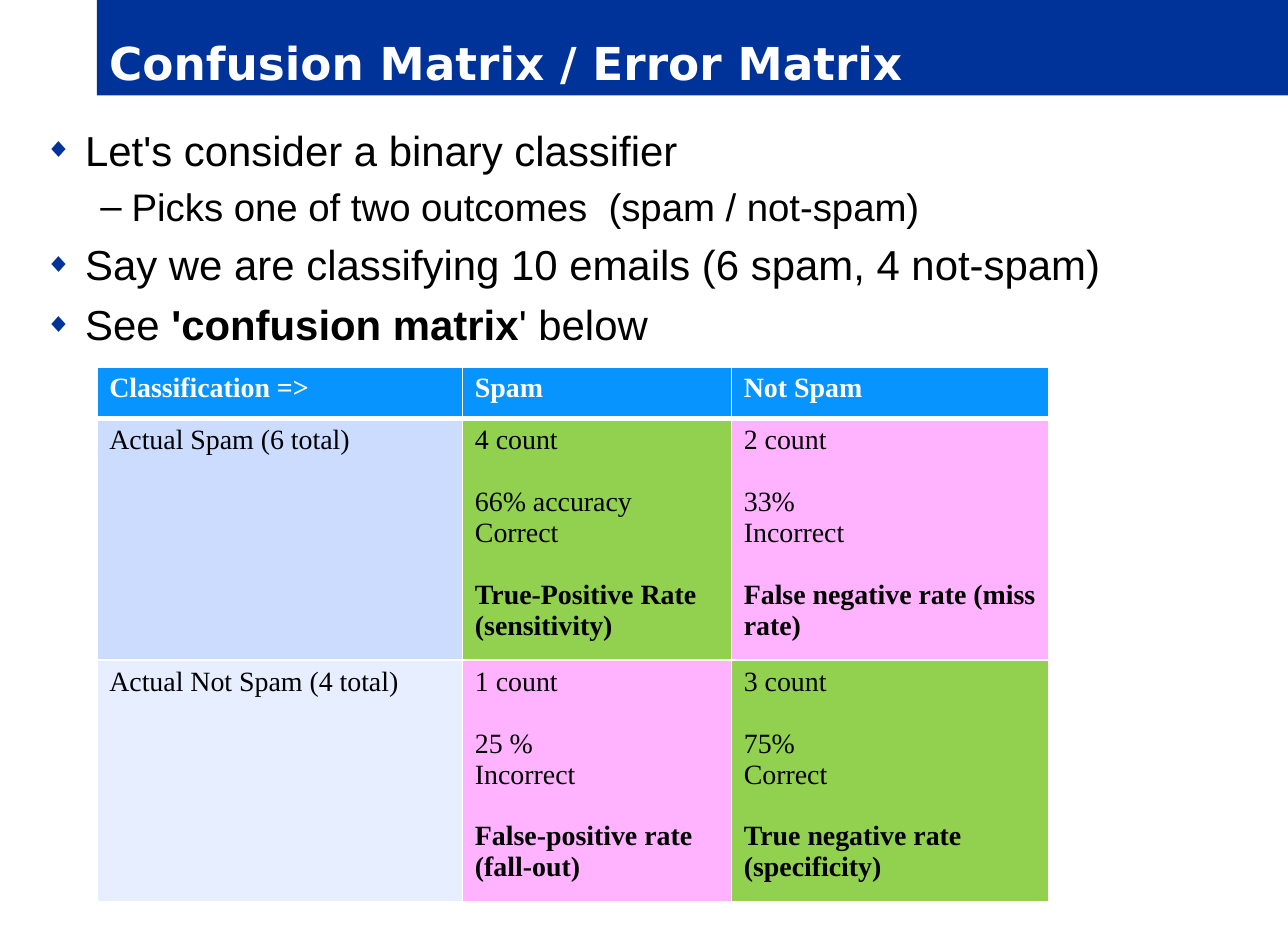
from dataclasses import dataclass

from lxml.etree import SubElement
from pptx import Presentation
from pptx.dml.color import RGBColor
from pptx.enum.shapes import MSO_SHAPE
from pptx.enum.text import MSO_ANCHOR, PP_ALIGN
from pptx.oxml.ns import qn
from pptx.slide import Slide
from pptx.table import _Cell
from pptx.text.text import _Paragraph, _Run
from pptx.util import Pt

PX = 9144


@dataclass(frozen=True)
class Theme:
    """Colours, fonts and type sizes of the slide."""
    navy: str = "003399"
    white: str = "FFFFFF"
    black: str = "000000"
    head: str = "0794FF"
    pale: str = "CCDCFF"
    faint: str = "E7EEFF"
    right: str = "92D050"
    wrong: str = "FFB3FF"
    title_font: str = "DejaVu Sans"
    body_font: str = "Arial"
    cell_font: str = "Times New Roman"
    title_size: int = 26
    cell_size: int = 16
    cell_gap: float = 17.7
    thin: int = 1
    thick: int = 3


@dataclass(frozen=True)
class Level:
    """Look of one bullet level, with indents in px."""
    mark: str
    hue: str
    scale: int
    left: int
    hang: int
    size: int
    gap: float


@dataclass(frozen=True)
class Bullet:
    """One bullet; every second phrase is bold."""
    level: int
    words: tuple[str, ...]


@dataclass(frozen=True)
class Entry:
    """One table cell with groups of lines set apart by a gap."""
    fill: str
    groups: tuple[str, ...]


THEME = Theme()
LEVELS = (
    Level("◆", THEME.navy, 65, 32, 32, 24, 5.5),
    Level("–", THEME.black, 100, 69, 25, 22, 5),
)
BULLETS = (
    Bullet(0, ("Let's consider a binary classifier",)),
    Bullet(1, ("Picks one of two outcomes  (spam / not-spam)",)),
    Bullet(0, ("Say we are classifying 10 emails (6 spam, 4 not-spam)",)),
    Bullet(0, ("See ", "'confusion matrix", "' below")),
)
COLS = (291, 214, 253)
ROWS = (41, 183, 183)
GRID = (
    tuple(Entry(THEME.head, (name,))
          for name in ("Classification =>", "Spam", "Not Spam")),
    (
        Entry(THEME.pale, ("Actual Spam (6 total)",)),
        Entry(THEME.right, ("4 count", "66% accuracy\nCorrect",
                            "True-Positive Rate (sensitivity)")),
        Entry(THEME.wrong, ("2 count", "33%\nIncorrect",
                            "False negative rate (miss rate)")),
    ),
    (
        Entry(THEME.faint, ("Actual Not Spam (4 total)",)),
        Entry(THEME.wrong, ("1 count", "25 %\nIncorrect",
                            "False-positive rate (fall-out)")),
        Entry(THEME.right, ("3 count", "75%\nCorrect",
                            "True negative rate (specificity)")),
    ),
)


def box(*sides: int) -> list[int]:
    """Turn px lengths into EMU."""
    return [side * PX for side in sides]


def style(run: _Run, font: str, size: int, hue: str, bold: bool) -> None:
    """Format one run."""
    run.font.name = font
    run.font.size = Pt(size)
    run.font.bold = bold
    run.font.color.rgb = RGBColor.from_string(hue)


def draw_title(slide: Slide, text: str) -> None:
    """Draw the title band."""
    band = slide.shapes.add_shape(MSO_SHAPE.RECTANGLE, *box(77, 0, 948, 76))
    band.shadow.inherit = False
    band.fill.solid()
    band.fill.fore_color.rgb = RGBColor.from_string(THEME.navy)
    band.line.fill.background()
    frame = band.text_frame
    frame.text = text
    frame.vertical_anchor = MSO_ANCHOR.BOTTOM
    line = frame.paragraphs[0]
    line.alignment = PP_ALIGN.LEFT
    style(line.runs[0], THEME.title_font, THEME.title_size, THEME.white, True)


def mark(line: _Paragraph, level: Level) -> None:
    """Give a paragraph its bullet and indents."""
    props = line._p.get_or_add_pPr()
    props.set("marL", str(level.left * PX))
    props.set("indent", str(-level.hang * PX))
    tint = SubElement(props, qn("a:buClr"))
    SubElement(tint, qn("a:srgbClr"), val=level.hue)
    SubElement(props, qn("a:buSzPct"), val=str(level.scale * 1000))
    SubElement(props, qn("a:buFont"), typeface=THEME.body_font)
    SubElement(props, qn("a:buChar"), char=level.mark)


def draw_list(slide: Slide, bullets: tuple[Bullet, ...]) -> None:
    """Draw the bullet list."""
    frame = slide.shapes.add_textbox(*box(26, 94, 974, 198)).text_frame
    frame.word_wrap = True
    for row, bullet in enumerate(bullets):
        line = frame.add_paragraph() if row else frame.paragraphs[0]
        level = LEVELS[bullet.level]
        line.level = bullet.level
        mark(line, level)
        if row:
            line.space_before = Pt(level.gap)
        for spot, phrase in enumerate(bullet.words):
            run = line.add_run()
            run.text = phrase
            style(run, THEME.body_font, level.size, THEME.black, spot % 2 == 1)


def edge(cell: _Cell, row: int) -> None:
    """Draw white borders, thick between header and body."""
    props = cell._tc.get_or_add_tcPr()
    heavy = {0: "lnB", 1: "lnT"}.get(row)
    for side in ("lnL", "lnR", "lnT", "lnB"):
        width = THEME.thick if side == heavy else THEME.thin
        rule = SubElement(props, qn(f"a:{side}"), w=str(Pt(width)))
        fill = SubElement(rule, qn("a:solidFill"))
        SubElement(fill, qn("a:srgbClr"), val=THEME.white)


def fill_cell(cell: _Cell, entry: Entry, row: int) -> None:
    """Fill one cell; the header and each third group are bold."""
    edge(cell, row)
    cell.fill.solid()
    cell.fill.fore_color.rgb = RGBColor.from_string(entry.fill)
    cell.text_frame.text = "\n".join(entry.groups)
    lines = iter(cell.text_frame.paragraphs)
    hue = THEME.black if row else THEME.white
    for rank, group in enumerate(entry.groups):
        for spot, _ in enumerate(group.split("\n")):
            line = next(lines)
            if rank and not spot:
                line.space_before = Pt(THEME.cell_gap)
            style(line.runs[0], THEME.cell_font, THEME.cell_size, hue,
                  row == 0 or rank == 2)


def draw_table(slide: Slide, grid: tuple[tuple[Entry, ...], ...]) -> None:
    """Draw the confusion matrix."""
    area = box(77, 292, sum(COLS), sum(ROWS))
    table = slide.shapes.add_table(len(ROWS), len(COLS), *area).table
    for col, width in zip(table.columns, COLS):
        col.width = width * PX
    for row, height in enumerate(ROWS):
        table.rows[row].height = height * PX
        for col, entry in enumerate(grid[row]):
            fill_cell(table.cell(row, col), entry, row)


def main() -> None:
    """Build and save the slide."""
    deck = Presentation()
    deck.slide_width, deck.slide_height = box(1025, 750)
    slide = deck.slides.add_slide(deck.slide_layouts[6])
    draw_title(slide, "Confusion Matrix / Error Matrix")
    draw_list(slide, BULLETS)
    draw_table(slide, GRID)
    deck.save("out.pptx")


if __name__ == "__main__":
    main()
